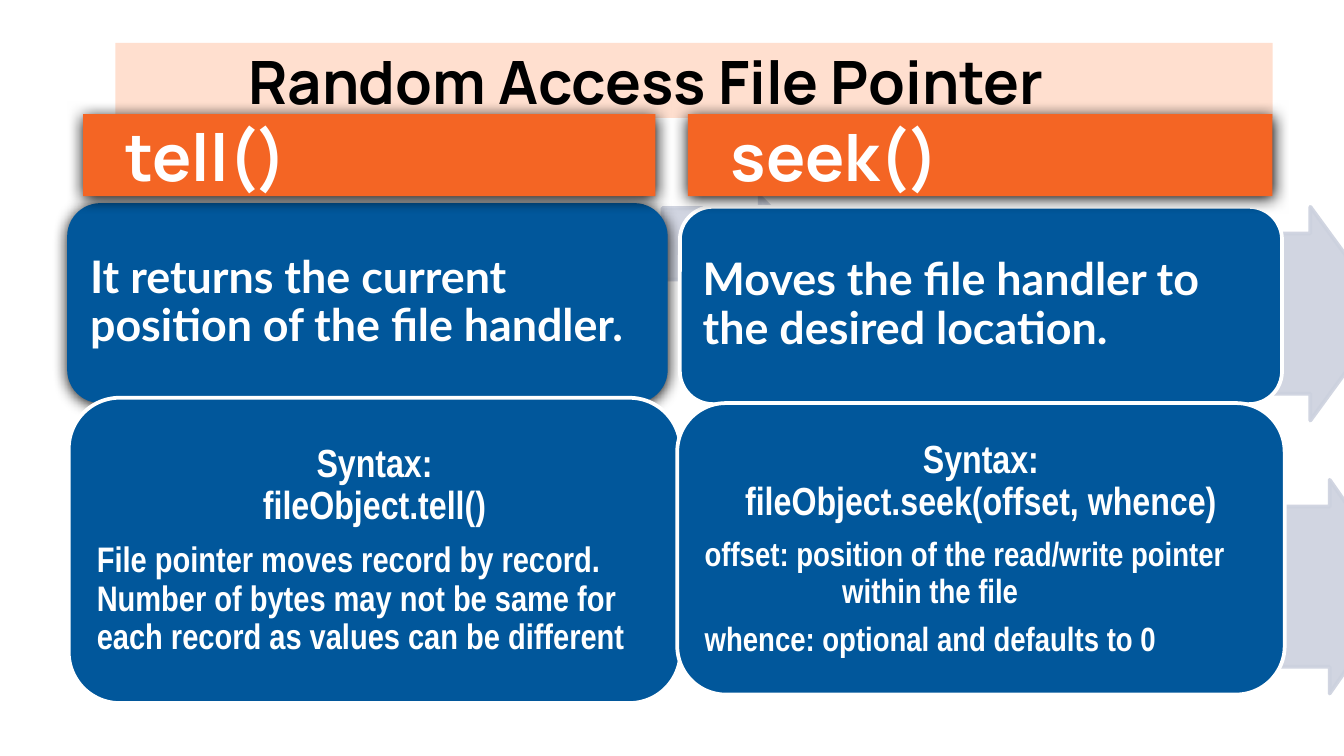
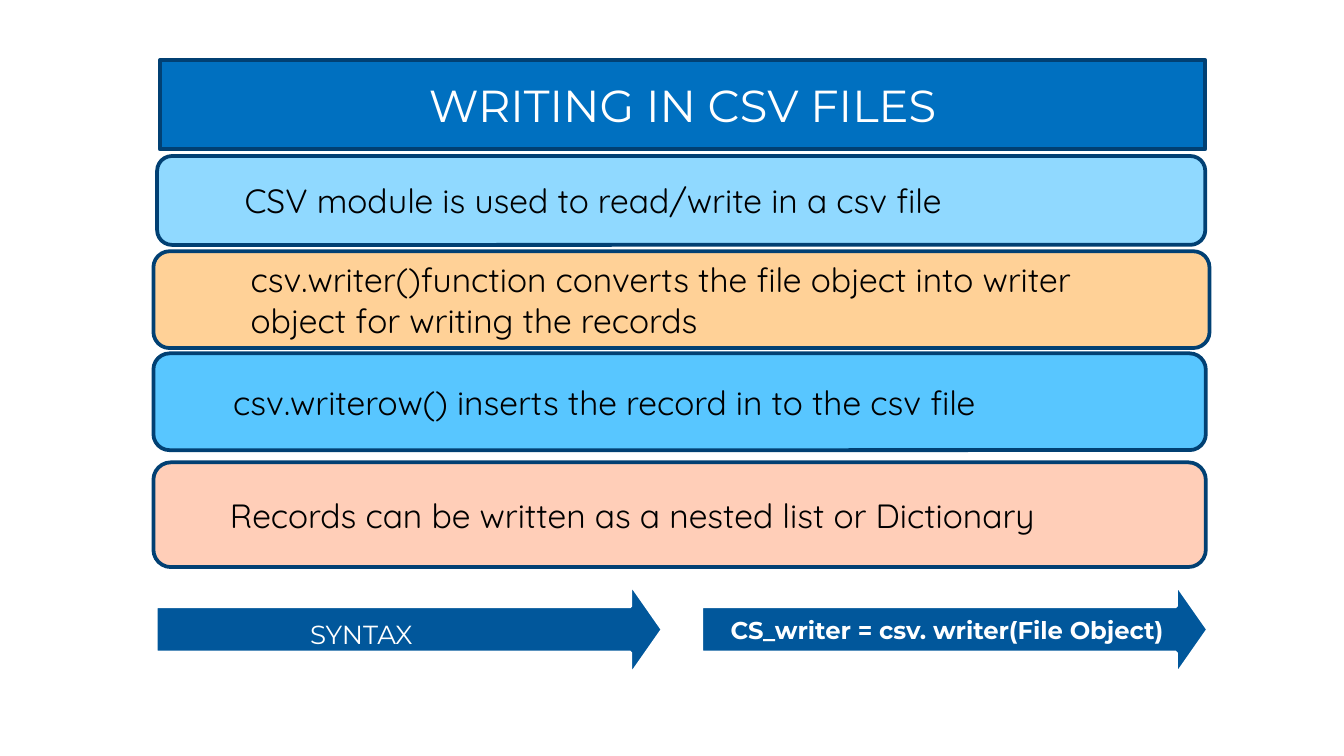
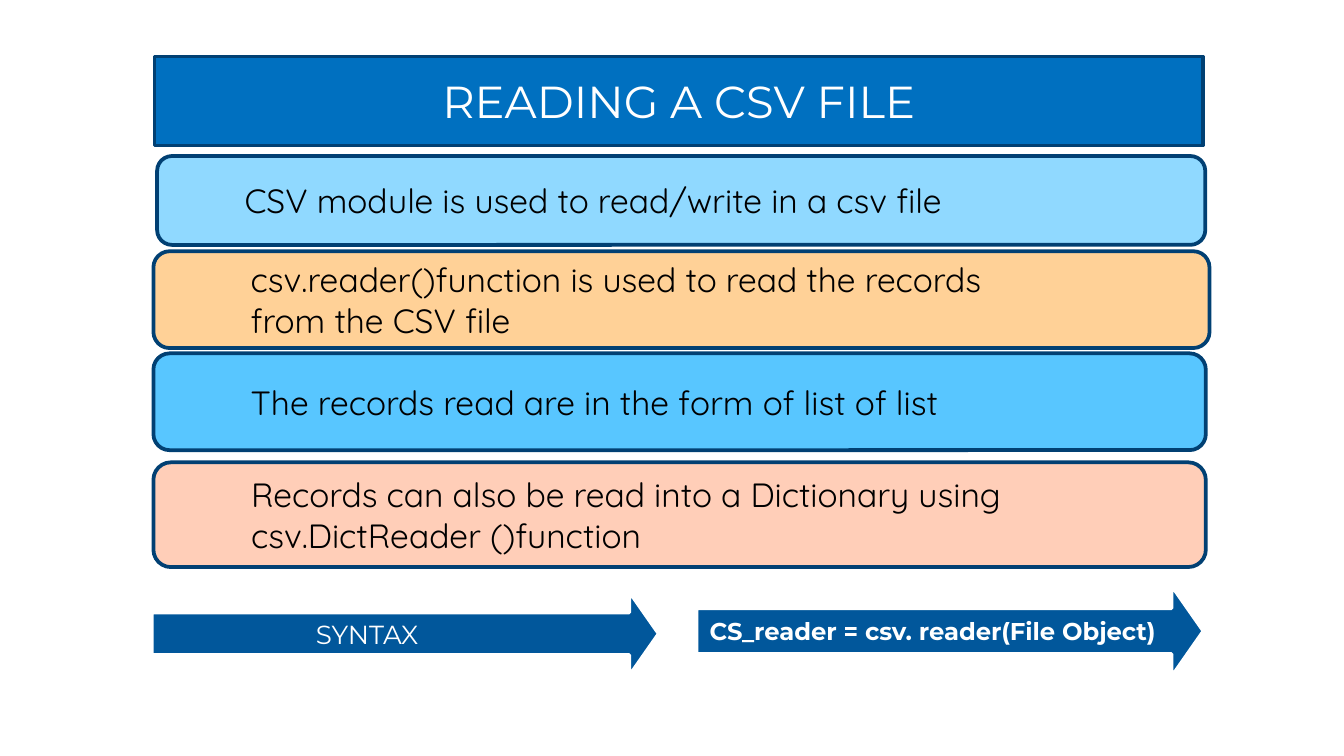
from lxml.etree import SubElement
from pptx import Presentation
from pptx.dml.color import RGBColor as Rgb
from pptx.enum.shapes import MSO_SHAPE as Shape
from pptx.enum.text import MSO_ANCHOR as Anchor, MSO_AUTO_SIZE as AutoSize, PP_ALIGN as Align
from pptx.oxml.ns import qn
from pptx.util import Cm, Pt


class Theme:
    """Colours and type styles shared by the slides."""
    white, black = Rgb(255, 255, 255), Rgb(0, 0, 0)
    peach = Rgb.from_string("FFDFCF")
    orange = Rgb.from_string("F46524")
    navy = Rgb.from_string("01579B")
    outline = Rgb.from_string("014073")
    pale_arrow = Rgb.from_string("CCD1DE")
    title_blue = Rgb.from_string("0070C0")
    row_fills = [Rgb.from_string(code) for code in ("90D9FF", "FFD197", "58C6FF", "FFCEB8")]
    line_width = Pt(2)

    # Each style: colour, then the font attributes
    title = (black, {"name": "Manrope", "size": Pt(32), "bold": True})
    band = (white, {"name": "Manrope", "size": Pt(35), "bold": True})
    summary = (white, {"name": "Lato", "size": Pt(24), "bold": True})
    syntax = (white, {"name": "Arial Narrow", "size": Pt(21), "bold": True})
    detail = (white, {"name": "Arial Narrow", "size": Pt(19), "bold": True})
    argument = (white, {"name": "Arial Narrow", "size": Pt(18), "bold": True})
    csv_title = (white, {"name": "Montserrat", "size": Pt(24), "bold": False})
    row = (black, {"name": "Quicksand", "size": Pt(18), "bold": False})
    label = (white, {"name": "Montserrat", "size": Pt(14), "bold": False})
    code = (white, {"name": "Montserrat", "size": Pt(13), "bold": True})


TITLE_ONLY = 5
INSETS = (0.25, 0.13, 0.25, 0.13)
BAND_INSETS = (0.81, 0.03, 0, 0)

# Row boxes of the two CSV slides: left, top, width, height in cm
ROW_BOXES = [
    (2.97, 2.95, 19.81, 1.68),
    (2.9, 4.75, 19.96, 1.83),
    (2.9, 6.68, 19.89, 1.83),
    (2.9, 8.74, 19.89, 1.98),
]


# Formatting helpers
def set_values(target, values):
    for name, value in values.items():
        setattr(target, name, value)


def paint(shape, fill, line=None):
    shape.shadow.inherit = False
    shape.fill.solid()
    shape.fill.fore_color.rgb = fill
    if line is None:
        shape.line.fill.background()
    else:
        shape.line.color.rgb = line
        shape.line.width = Theme.line_width


def cast_shadow(shape):
    effects = shape._element.spPr.find(qn("a:effectLst"))
    shadow = SubElement(effects, qn("a:outerShdw"), blurRad=str(Pt(8.5)),
                        dist=str(Pt(1)), dir="5400000", algn="ctr", rotWithShape="0")
    SubElement(shadow, qn("a:srgbClr"), val=str(Theme.black))


def make_translucent(shape, percent):
    for colour in shape._element.spPr.iter(qn("a:srgbClr")):
        SubElement(colour, qn("a:alpha"), val=str(percent * 1000))


def hang_indent(paragraph, length):
    properties = paragraph._p.get_or_add_pPr()
    properties.set("marL", str(length))
    properties.set("indent", str(-length))


def write(shape, lines, insets=INSETS, anchor=Anchor.MIDDLE, spacing=1.0):
    """Fill a shape with (text, style, alignment) paragraphs."""
    frame = shape.text_frame
    left, top, right, bottom = insets
    set_values(frame, {
        "word_wrap": True, "auto_size": AutoSize.NONE, "vertical_anchor": anchor,
        "margin_left": Cm(left), "margin_top": Cm(top),
        "margin_right": Cm(right), "margin_bottom": Cm(bottom),
    })
    for index, (text, (colour, font), alignment) in enumerate(lines):
        paragraph = frame.add_paragraph() if index else frame.paragraphs[0]
        paragraph.text = text
        set_values(paragraph, {"alignment": alignment, "line_spacing": spacing})
        for run in paragraph.runs:
            set_values(run.font, font)
            run.font.color.rgb = colour
    return frame.paragraphs


# Slide elements
def add_box(slide, kind, box, fill, line=None):
    shape = slide.shapes.add_shape(kind, *map(Cm, box))
    paint(shape, fill, line)
    return shape


def add_title_bar(slide, text, style, box, fill, line=None, geometry="rect",
                  alignment=Align.CENTER, **layout):
    title = slide.shapes.title
    set_values(title, dict(zip(("left", "top", "width", "height"), map(Cm, box))))
    outline = SubElement(title._element.spPr, qn("a:prstGeom"), prst=geometry)
    SubElement(outline, qn("a:avLst"))
    paint(title, fill, line)
    write(title, [(text, style, alignment)], **layout)


def add_band(slide, text, box):
    band = add_box(slide, Shape.RECTANGLE, box, Theme.orange)
    cast_shadow(band)
    write(band, [(text, Theme.band, Align.LEFT)], BAND_INSETS, Anchor.TOP)


def add_pale_arrow(slide, box):
    arrow = add_box(slide, Shape.RIGHT_ARROW, box, Theme.pale_arrow, Theme.pale_arrow)
    arrow.adjustments[0] = 0.75
    make_translucent(arrow, 90)


def add_card(slide, box, lines, raised=False):
    card = add_box(slide, Shape.ROUNDED_RECTANGLE, box, Theme.navy,
                   None if raised else Theme.white)
    if raised:
        cast_shadow(card)
    paragraphs = write(card, lines, spacing=0.9)
    for paragraph, (_, (_, font), _) in zip(paragraphs, lines):
        paragraph.space_after = Pt(round(font["size"].pt * 0.35, 1))
    return paragraphs


def add_row(slide, box, fill, texts, indent):
    row = add_box(slide, Shape.ROUNDED_RECTANGLE, box, fill, Theme.outline)
    write(row, [(text, Theme.row, Align.LEFT) for text in texts], (indent, 0.13, 0.25, 0.13))


def add_syntax_arrow(slide, box):
    arrow = add_box(slide, Shape.UP_ARROW, box, Theme.navy, Theme.white)
    arrow.adjustments[0], arrow.adjustments[1] = 0.5, 0.35
    arrow.rotation = 90


def add_label(slide, text, style, box, alignment=Align.LEFT, anchor=Anchor.TOP):
    label = slide.shapes.add_textbox(*map(Cm, box))
    write(label, [(text, style, alignment)], anchor=anchor)


# Slides
def add_file_pointer_slide(presentation):
    slide = presentation.slides.add_slide(presentation.slide_layouts[TITLE_ONLY])
    add_title_bar(slide, "Random Access File Pointer", Theme.title, (2.18, 0.81, 21.87, 1.42),
                  Theme.peach, alignment=Align.LEFT, insets=(2.51, 0.03, 0, 0),
                  anchor=Anchor.TOP)

    # tell()
    add_pale_arrow(slide, (12.52, 3.71, 2.74, 1.8))
    add_card(slide, (1.27, 3.84, 11.35, 3.78), [
        ("It returns the current position of the file handler.", Theme.summary, Align.LEFT),
    ], raised=True)
    add_pale_arrow(slide, (12.75, 9.65, 2.51, 1.8))
    add_card(slide, (1.3, 7.52, 11.56, 5.77), [
        ("Syntax:\nfileObject.tell()", Theme.syntax, Align.CENTER),
        ("File pointer moves record by record. Number of bytes may not be same for "
         "each record as values can be different", Theme.detail, Align.LEFT),
    ])
    add_band(slide, "tell()", (1.57, 2.16, 10.82, 1.55))

    # seek()
    add_pale_arrow(slide, (23.29, 3.91, 2.95, 4.04))
    add_card(slide, (12.85, 3.91, 11.38, 3.73), [
        ("Moves the file handler to the desired location.", Theme.summary, Align.LEFT),
    ])
    add_pale_arrow(slide, (23.72, 9.07, 2.82, 4.04))
    _, offset, _ = add_card(slide, (12.8, 7.62, 11.48, 5.51), [
        ("Syntax:\nfileObject.seek(offset, whence)", Theme.syntax, Align.CENTER),
        ("offset: position of the read/write pointer within the file",
         Theme.argument, Align.LEFT),
        ("whence: optional and defaults to 0", Theme.argument, Align.LEFT),
    ])
    hang_indent(offset, Cm(2.6))
    add_band(slide, "seek()", (13, 2.16, 11.05, 1.55))


def add_csv_slide(presentation, title, title_box, rows, arrow_boxes):
    slide = presentation.slides.add_slide(presentation.slide_layouts[TITLE_ONLY])
    add_title_bar(slide, title, Theme.csv_title, title_box, Theme.title_blue,
                  Theme.outline, "roundRect")
    for box, fill, (indent, *texts) in zip(ROW_BOXES, Theme.row_fills, rows):
        add_row(slide, box, fill, texts, indent)
    for box in arrow_boxes:
        add_syntax_arrow(slide, box)
    return slide


def main():
    presentation = Presentation()
    presentation.slide_width, presentation.slide_height = Cm(25.4), Cm(14.29)

    add_file_pointer_slide(presentation)

    # Rows: text indent in cm, then the lines
    module_row = (1.57, "CSV module is used to read/write in a csv file")
    writing = add_csv_slide(
        presentation, "WRITING IN CSV FILES", (3.02, 1.14, 19.76, 1.68),
        [module_row,
         (1.75, "csv.writer()function converts the file object into writer",
          "object for writing the records"),
         (1.42, "csv.writerow() inserts the record in to the csv file"),
         (1.35, "Records can be written as a nested list or Dictionary")],
        [(6.86, 7.11, 1.75, 9.58), (17.17, 7.11, 1.75, 9.58)])
    add_label(writing, "CS_writer = csv. writer(File Object)", Theme.code,
              (13.26, 11.48, 9.27, 0.86), Align.CENTER, Anchor.MIDDLE)
    add_label(writing, "SYNTAX", Theme.label, (5.61, 11.56, 12.9, 0.86))

    reading = add_csv_slide(
        presentation, "READING A CSV FILE", (2.92, 1.07, 19.81, 1.68),
        [module_row,
         (1.75, "csv.reader()function is used to read the records", "from the CSV file"),
         (1.75, "The records read are in the form of list of list"),
         (1.75, "Records can also be read into a Dictionary using",
          "csv.DictReader ()function")],
        [(6.86, 7.19, 1.6, 9.58), (17.09, 7.14, 1.73, 9.58)])
    add_label(reading, "SYNTAX", Theme.label, (5.72, 11.56, 12.85, 0.86))
    add_label(reading, "CS_reader = csv. reader(File Object)", Theme.code,
              (13.16, 11.51, 9.58, 0.81))

    presentation.save("out.pptx")


if __name__ == "__main__":
    main()
